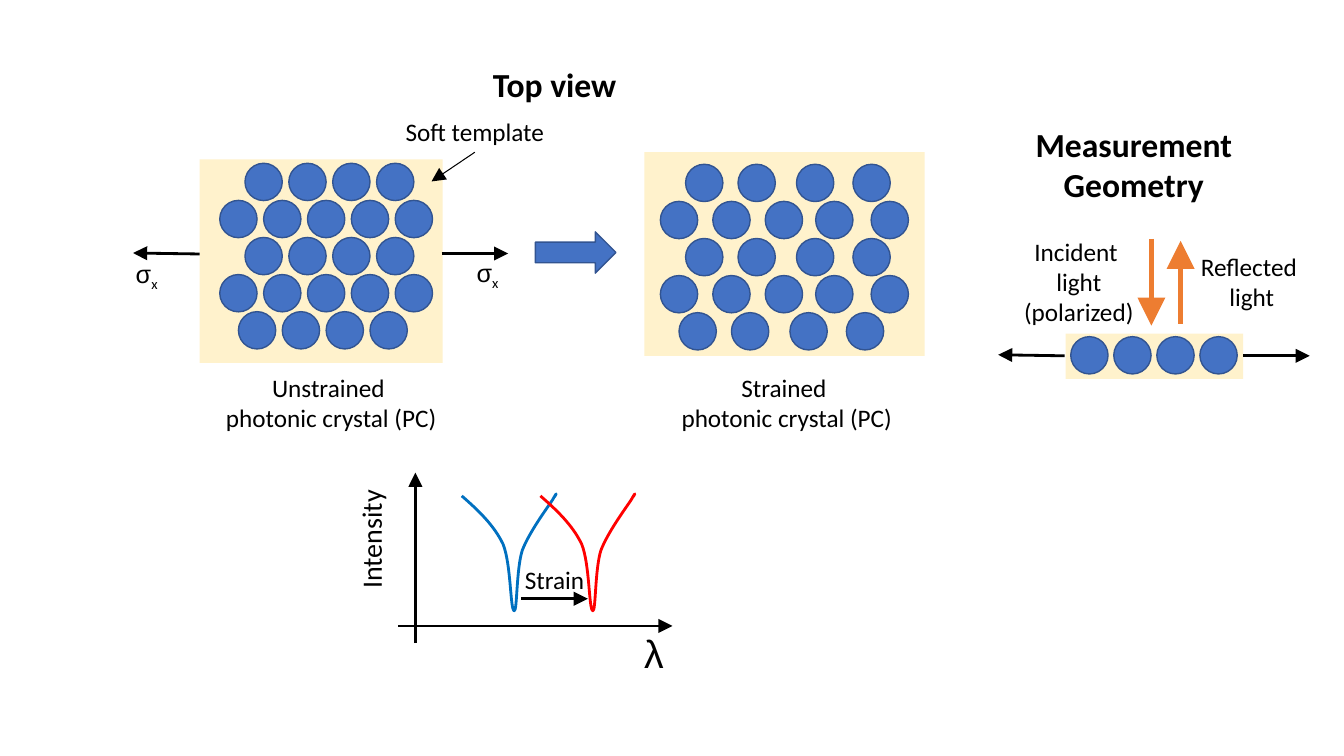
from lxml import etree
from pptx import Presentation
from pptx.dml.color import RGBColor
from pptx.enum.shapes import MSO_CONNECTOR, MSO_SHAPE
from pptx.enum.text import MSO_ANCHOR, MSO_AUTO_SIZE, PP_ALIGN
from pptx.oxml.ns import qn
from pptx.util import Inches, Pt

RECTANGLE, OVAL, RIGHT_ARROW = MSO_SHAPE.RECTANGLE, MSO_SHAPE.OVAL, MSO_SHAPE.RIGHT_ARROW
STRAIGHT = MSO_CONNECTOR.STRAIGHT
CENTER, LEFT = PP_ALIGN.CENTER, PP_ALIGN.LEFT
COLORS = {name: RGBColor.from_string(value) for name, value in {
    "template": "FFF2CC", "sphere": "4472C4", "outline": "325491", "black": "000000",
    "light": "ED7D31", "unstrained": "0070C0", "strained": "FF0000"}.items()}
DIAMETER = 0.37

presentation = Presentation()
presentation.slide_width = Inches(13.33)
presentation.slide_height = Inches(7.5)
slide = presentation.slides.add_slide(presentation.slide_layouts[5])


def add_solid(kind, left, top, width, height, fill, outline=None):
    shape = slide.shapes.add_shape(
        kind, Inches(left), Inches(top), Inches(width), Inches(height))
    shape.shadow.inherit = False
    shape.fill.solid()
    shape.fill.fore_color.rgb = COLORS[fill]
    if outline:
        shape.line.color.rgb = COLORS[outline]
        shape.line.width = Pt(1)
    else:
        shape.line.fill.background()


def write_text(shape, box, text, size, font="Calibri", bold=False, align=CENTER):
    shape.left, shape.top, shape.width, shape.height = [Inches(value) for value in box]
    frame = shape.text_frame
    frame.text = text
    frame.word_wrap = False
    frame.auto_size = MSO_AUTO_SIZE.NONE
    frame.vertical_anchor = MSO_ANCHOR.TOP
    for paragraph in frame.paragraphs:
        paragraph.alignment = align
        paragraph.font.name = font
        paragraph.font.size = Pt(size)
        paragraph.font.bold = bold
        paragraph.font.color.rgb = COLORS["black"]
    return frame


# Title
write_text(slide.shapes.title, (4.78, 0.58, 1.44, 0.5), "Top view", 24, bold=True)

# Soft templates: two top views and the side view
for box in [(6.39, 1.51, 2.78, 2.02), (1.98, 1.58, 2.41, 2.02), (10.57, 3.31, 1.76, 0.45)]:
    add_solid(RECTANGLE, *box, "template")

# Spheres: each crystal stacks five staggered rows of four and five
unstrained_short = [2.43 + 0.435 * column for column in range(4)]
unstrained_long = [2.18 + 0.435 * column for column in range(5)]
strained_short = [6.8, 7.32, 7.9, 8.46]
strained_long = [6.55, 7.07, 7.59, 8.09, 8.64]
for top, short_row, long_row in [(1.62, unstrained_short, unstrained_long),
                                 (1.63, strained_short, strained_long)]:
    last_row = [left - 0.065 for left in short_row]
    rows = [short_row, long_row, short_row, long_row, last_row]
    for index, row in enumerate(rows):
        for left in row:
            add_solid(OVAL, left, top + 0.368 * index, DIAMETER, DIAMETER,
                      "sphere", "outline")
for column in range(4):
    add_solid(OVAL, 10.62 + 0.427 * column, 3.34, DIAMETER, DIAMETER, "sphere", "outline")

# Block arrow from unstrained to strained
add_solid(RIGHT_ARROW, 5.31, 2.3, 0.8, 0.41, "sphere", "outline")

# Arrows: start, end, colour, line width, head width
arrows = [
    ((4.38, 2.515), (5.04, 2.515), "black", 2, "lg"),     # stress
    ((1.98, 2.52), (1.32, 2.51), "black", 2, "lg"),
    ((12.33, 3.53), (12.99, 3.53), "black", 2, "lg"),
    ((10.56, 3.53), (9.9, 3.52), "black", 2, "lg"),
    ((3.95, 6.21), (6.67, 6.21), "black", 2, "lg"),       # axes
    ((4.12, 6.38), (4.12, 4.69), "black", 2, "lg"),
    ((5.17, 5.94), (5.83, 5.94), "black", 2, "lg"),       # strain shift
    ((4.71, 1.51), (4.28, 1.8), "black", 0.75, "lg"),     # soft template pointer
    ((11.42, 2.37), (11.42, 3.23), "light", 4, "lg"),     # light
    ((11.71, 3.21), (11.71, 2.39), "light", 4, "lg"),
]
for start, end, color, width, head in arrows:
    arrow = slide.shapes.add_connector(
        STRAIGHT, *[Inches(value) for value in start + end])
    arrow.line.color.rgb = COLORS[color]
    arrow.line.width = Pt(width)
    etree.SubElement(arrow.line._get_or_add_ln(), qn("a:tailEnd"),
                     type="triangle", w=head, len="lg")
    etree.SubElement(arrow._element.spPr, qn("a:effectLst"))

# Spectra: the same dip, shifted under strain; three points make one cubic curve
DIP = [(4.58, 4.92), (4.74, 5.06), (4.9, 5.21), (4.99, 5.4),
       (5.07, 5.6), (5.06, 6.05), (5.1, 6.06),
       (5.13, 6.07), (5.12, 5.65), (5.18, 5.46),
       (5.25, 5.28), (5.42, 5.05), (5.48, 4.96),
       (5.53, 4.87), (5.52, 4.9), (5.5, 4.93)]
for color, shift in [("unstrained", 0), ("strained", 0.78)]:
    points = [(Inches(x + shift), Inches(y)) for x, y in DIP]
    builder = slide.shapes.build_freeform(*points[0])
    builder.add_line_segments(points[1:], close=False)
    spectrum = builder.convert_to_shape()
    segments = list(spectrum._element.iter(qn("a:lnTo")))
    outline = segments[0].getparent()
    for first in range(0, len(segments), 3):
        cubic = etree.SubElement(outline, qn("a:cubicBezTo"))
        for segment in segments[first:first + 3]:
            cubic.append(segment[0])
            outline.remove(segment)
    spectrum.shadow.inherit = False
    spectrum.fill.background()
    spectrum.line.color.rgb = COLORS[color]
    spectrum.line.width = Pt(2)

# Labels: box, text, size, then font, bold, alignment
labels = [
    ((2.13, 3.64, 2.31, 0.71), "Unstrained \vphotonic crystal (PC)", 18),
    ((6.59, 3.64, 2.37, 0.71), "Strained\v photonic crystal (PC)", 18),
    ((6.29, 6.19, 0.42, 0.57), "λ", 28, "Arial", False, LEFT),
    ((5.1, 5.55, 0.8, 0.4), "Strain", 18),
    ((3.91, 1.1, 1.6, 0.4), "Soft template", 18),
    ((10.16, 1.18, 2.17, 0.91), "Measurement\nGeometry", 24, "Calibri", True),
    ((10.05, 2.29, 1.3, 1.01), "Incident \vlight\n(polarized)", 18),
    ((11.8, 2.44, 1.23, 0.71), "Reflected \vlight", 18),
]
for label in labels:
    write_text(slide.shapes.add_textbox(0, 0, 0, 0), *label)

# Vertical axis label
intensity = write_text(slide.shapes.add_textbox(0, 0, 0, 0), (3.46, 4.85, 0.54, 1.09),
                       "Intensity", 20, align=LEFT)
intensity._txBody.bodyPr.set("vert", "vert270")

# Stress symbols with a subscript
for left, top in [(1.24, 2.51), (4.62, 2.5)]:
    stress = write_text(slide.shapes.add_textbox(0, 0, 0, 0), (left, top, 0.43, 0.4),
                        "σ", 18, "Arial")
    subscript = stress.paragraphs[0].add_run()
    subscript.text = "x"
    subscript.font.name = "Calibri"
    subscript.font._element.set("baseline", "-25000")

presentation.save("out.pptx")
